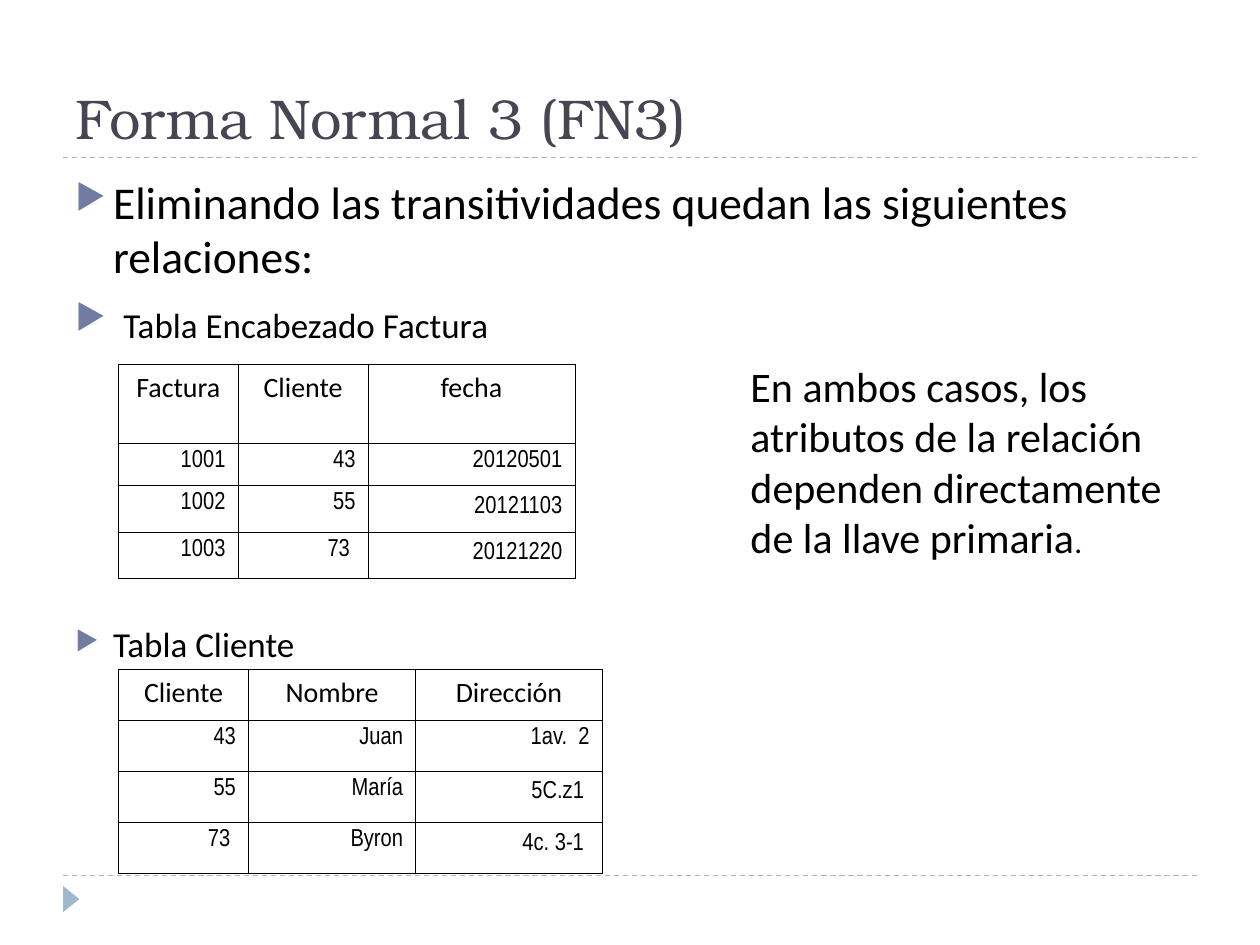
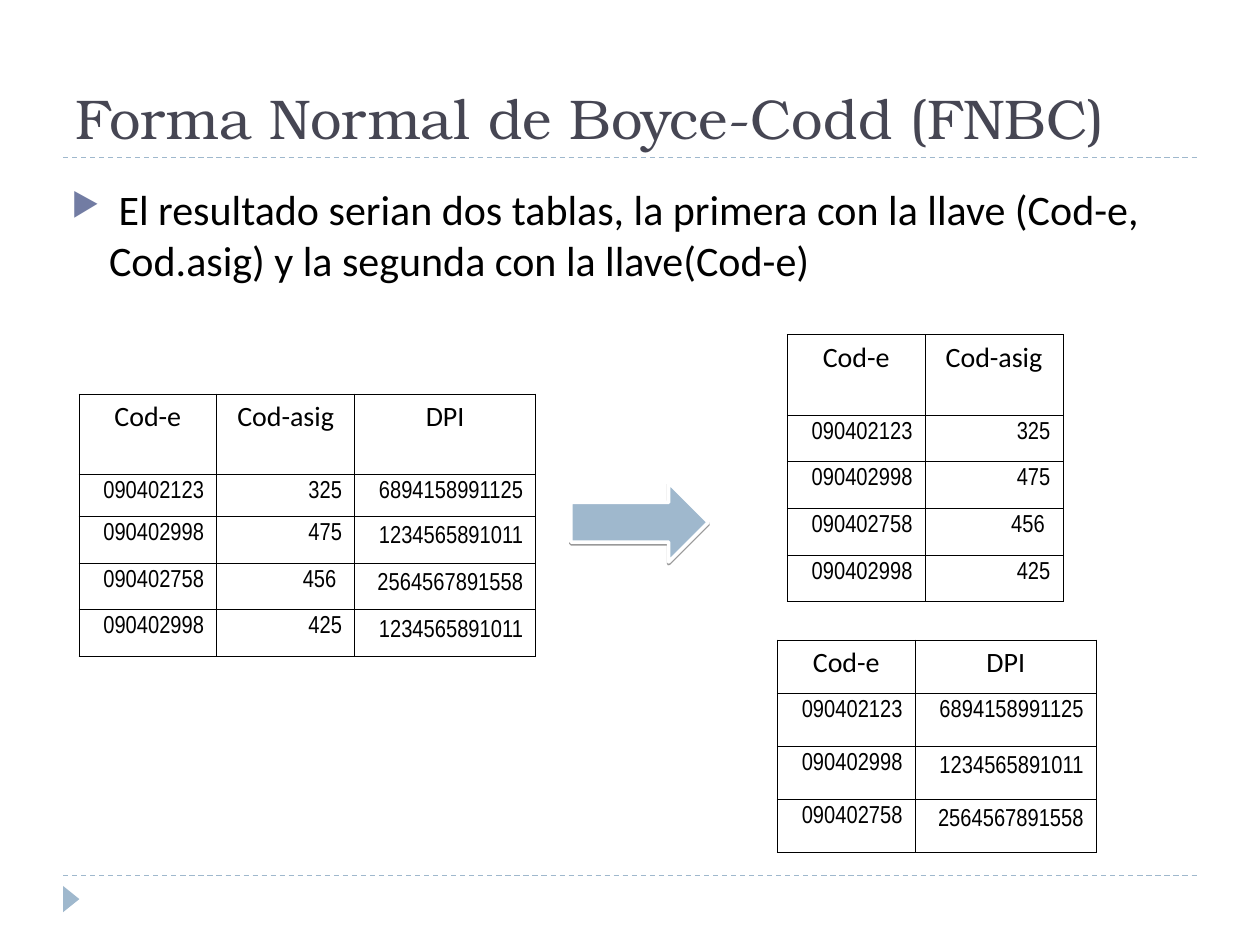
import pptx
import pptx.dml.color
import pptx.enum.dml
import pptx.enum.shapes
import pptx.enum.text
import pptx.oxml
import pptx.oxml.ns
import pptx.util
import lxml.etree

Cm = pptx.util.Cm
Pt = pptx.util.Pt
ALIGN = pptx.enum.text.PP_ALIGN
ANCHOR = pptx.enum.text.MSO_ANCHOR
SHAPE = pptx.enum.shapes.MSO_SHAPE

INK = "000000"
ACCENT = "9FB8CD"
BULLET = "727CA3"
TITLE_FORMAT = {"name": "TeX Gyre Bonum", "size": Pt(32), "bold": False}
BODY_FORMAT = {"name": "Calibri", "size": Pt(24)}
HEADER_FORMAT = {"name": "Calibri", "size": Pt(16), "bold": False}
VALUE_FORMAT = {"name": "Arial Narrow", "size": Pt(14), "bold": False}


def color(hex_value):
    return pptx.dml.color.RGBColor.from_string(hex_value)


def apply(target, values):
    for name, value in values.items():
        setattr(target, name, value)


def add_element(parent, tag, **attributes):
    element = lxml.etree.SubElement(parent, pptx.oxml.ns.qn(tag))
    for name, value in attributes.items():
        element.set(name, str(value))
    return element


class SlideBuilder:
    def __init__(self, deck):
        self.deck = deck
        self.slide = None

    def start(self, title):
        self.slide = self.deck.slides.add_slide(self.deck.slide_layouts[5])
        placeholder = self.slide.shapes.title
        apply(placeholder, {"left": Cm(1.27), "top": Cm(0.43),
                            "width": Cm(22.86), "height": Cm(2.74)})
        frame = placeholder.text_frame
        apply(frame, {"vertical_anchor": ANCHOR.BOTTOM, "word_wrap": True,
                      "auto_size": pptx.enum.text.MSO_AUTO_SIZE.NONE})
        para = frame.paragraphs[0]
        para.alignment = ALIGN.LEFT
        self.span(para, title, TITLE_FORMAT, "464653")
        for top in (3.18, 17.65):
            self.rule(top)
        marker = self.shape(SHAPE.ISOSCELES_TRIANGLE, 1.17, 17.96, 0.53, 0.33)
        marker.rotation = 90
        marker.line.fill.background()

    def span(self, para, text, values, ink=INK):
        span = para.add_run()
        span.text = text
        apply(span.font, values)
        span.font.color.rgb = color(ink)

    def rule(self, top):
        line = self.slide.shapes.add_connector(
            pptx.enum.shapes.MSO_CONNECTOR.STRAIGHT,
            Cm(1.27), Cm(top), Cm(24.13), Cm(top))
        apply(line.line, {"width": Pt(0.75),
                          "dash_style": pptx.enum.dml.MSO_LINE.DASH})
        line.line.color.rgb = color(ACCENT)
        add_element(line._element.spPr, "a:effectLst")

    def shape(self, kind, left, top, width, height):
        shape = self.slide.shapes.add_shape(
            kind, Cm(left), Cm(top), Cm(width), Cm(height))
        shape.shadow.inherit = False
        shape.fill.solid()
        shape.fill.fore_color.rgb = color(ACCENT)
        return shape

    def arrow(self, left, top, width, height):
        arrow = self.shape(SHAPE.RIGHT_ARROW, left, top, width, height)
        arrow.line.width = Pt(2)
        arrow.line.color.rgb = color("FFFFFF")
        effects = arrow._element.spPr.find(pptx.oxml.ns.qn("a:effectLst"))
        shadow = add_element(effects, "a:outerShdw", blurRad=0, dist=Pt(1),
                             dir=90 * 60000, rotWithShape=0)
        tint = add_element(shadow, "a:srgbClr", val=INK)
        add_element(tint, "a:alpha", val=40000)

    def text(self, left, top, width, height, paragraphs, bulleted=True):
        box = self.slide.shapes.add_textbox(
            Cm(left), Cm(top), Cm(width), Cm(height))
        frame = box.text_frame
        frame.word_wrap = True
        for index, (space_before, spans) in enumerate(paragraphs):
            para = frame.add_paragraph() if index else frame.paragraphs[0]
            if bulleted:
                self.bullet(para)
            para.space_before = Pt(space_before)
            for text, size in spans:
                self.span(para, text, {**BODY_FORMAT, "size": Pt(size)})

    def bullet(self, para):
        properties = para._p.get_or_add_pPr()
        properties.set("marL", str(Cm(0.76)))
        properties.set("indent", str(-Cm(0.76)))
        tint = add_element(properties, "a:buClr")
        add_element(tint, "a:srgbClr", val=BULLET)
        add_element(properties, "a:buSzPct", val=76000)
        add_element(properties, "a:buChar", char="▶")

    def table(self, left, top, widths, heights, rows, loose_column=None):
        table = self.slide.shapes.add_table(
            len(rows), len(widths), Cm(left), Cm(top),
            Cm(sum(widths)), Cm(sum(heights))).table
        apply(table, {"first_row": False, "horz_banding": False})
        for column, width in zip(table.columns, widths):
            column.width = Cm(width)
        for row, height in zip(table.rows, heights):
            row.height = Cm(height)
        for row_index, values in enumerate(rows):
            for column_index, value in enumerate(values):
                cell = table.cell(row_index, column_index)
                self.border(cell)
                cell.fill.background()
                para = cell.text_frame.paragraphs[0]
                para.alignment = ALIGN.RIGHT if row_index else ALIGN.CENTER
                if row_index > 1 and column_index == loose_column:
                    apply(para, {"line_spacing": 1.15, "space_after": Pt(10)})
                self.span(para, value,
                          VALUE_FORMAT if row_index else HEADER_FORMAT)

    def border(self, cell):
        properties = cell._tc.get_or_add_tcPr()
        for side in "LRTB":
            line = add_element(properties, f"a:ln{side}", w=Pt(0.45))
            fill = add_element(line, "a:solidFill")
            add_element(fill, "a:srgbClr", val=INK)


def build_third_form(builder):
    builder.start("Forma Normal 3 (FN3)")
    builder.text(1.27, 3.38, 22.86, 14.48, [
        (0, [("Eliminando las transitividades quedan las siguientes "
              "relaciones:", 26)]),
        (6, [(" ", 26), ("Tabla Encabezado Factura", 20)]),
        (157, [("Tabla Cliente", 20)]),
    ])
    builder.text(14.88, 7.14, 9.12, 5.33, [
        (0, [("En ambos casos, los atributos de la relación dependen "
              "directamente de la llave primaria", 24), (".", 18)]),
    ], bulleted=False)
    builder.table(2.39, 7.34, [2.41, 2.62, 4.17], [1.6, 0.84, 0.94, 0.94], [
        ("Factura", "Cliente", "fecha"),
        ("1001", "43", "20120501"),
        ("1002", "55", "20121103"),
        ("1003", "73 ", "20121220"),
    ], loose_column=2)
    builder.table(2.39, 13.49, [2.62, 3.37, 3.76], [1.03] * 4, [
        ("Cliente", "Nombre", "Dirección"),
        ("43", "Juan", "1av.  2"),
        ("55", "María", "5C.z1 "),
        ("73 ", "Byron", "4c. 3-1 "),
    ], loose_column=2)


def build_boyce_codd(builder):
    enrolments = [
        ("Cod-e", "Cod-asig", "DPI"),
        ("090402123", "325", "6894158991125"),
        ("090402998", "475", "1234565891011"),
        ("090402758", "456 ", "2564567891558"),
        ("090402998", "425", "1234565891011"),
    ]
    code, identity = 2.78, 3.65
    builder.start("Forma Normal de Boyce-Codd (FNBC)")
    builder.table(1.59, 7.94, [code, code, identity],
                  [1.62, 0.85] + [0.94] * 3, enrolments, loose_column=2)
    builder.table(15.87, 6.75, [code, code], [1.62] + [0.94] * 4,
                  [row[:2] for row in enrolments])
    builder.table(15.67, 12.9, [code, identity], [1.07] * 4,
                  [(row[0], row[2]) for row in enrolments[:4]],
                  loose_column=1)
    builder.text(1.19, 3.58, 22.86, 2.39, [
        (0, [(" El resultado serian dos tablas, la primera con la llave "
              "(Cod-e, Cod.asig) y la segunda con la llave(Cod-e)", 24)]),
    ])
    builder.arrow(11.51, 9.73, 2.77, 1.6)


def main():
    deck = pptx.Presentation()
    apply(deck, {"slide_width": Cm(25.4), "slide_height": Cm(19.05)})
    builder = SlideBuilder(deck)
    build_third_form(builder)
    build_boyce_codd(builder)
    deck.save("out.pptx")


if __name__ == "__main__":
    main()
